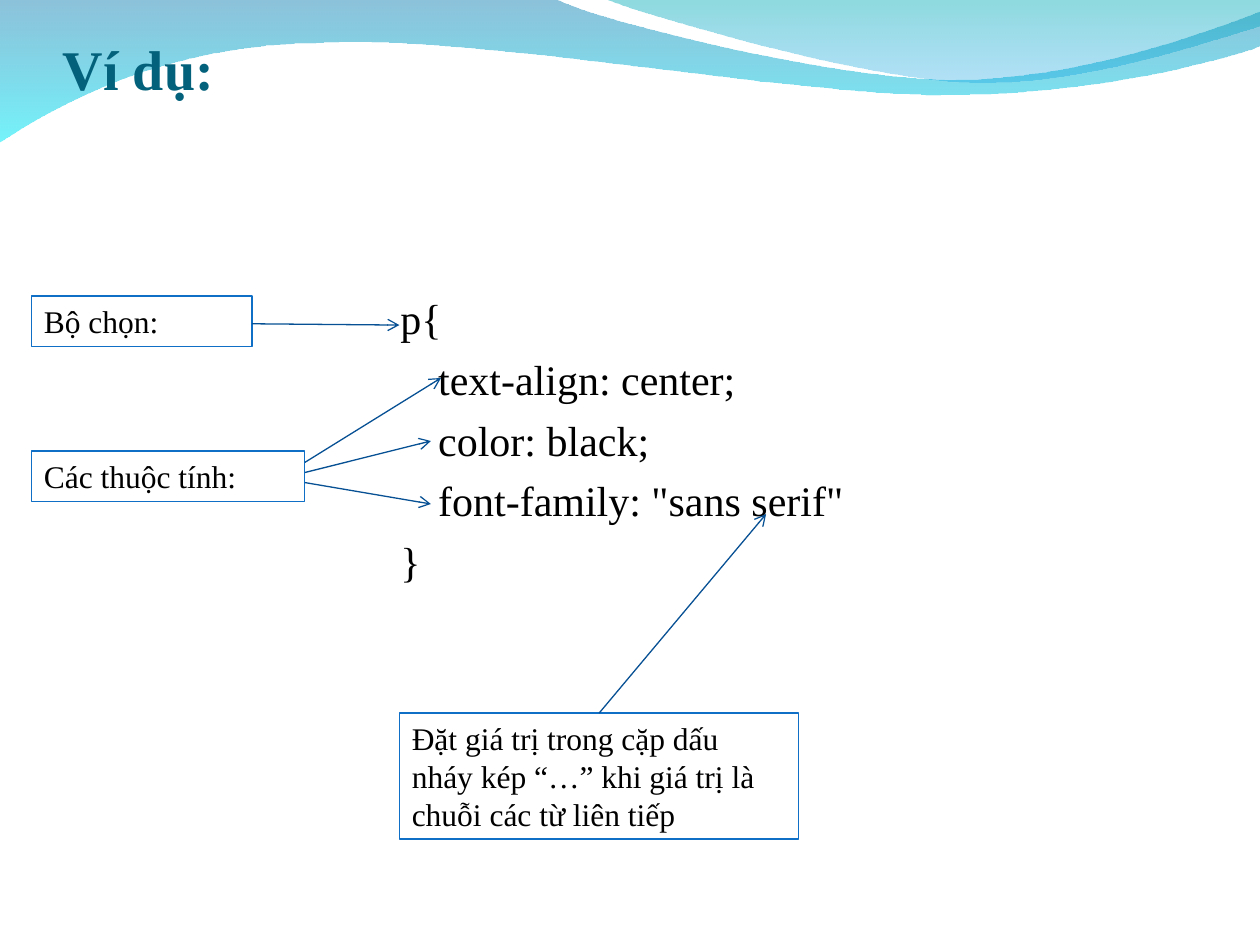
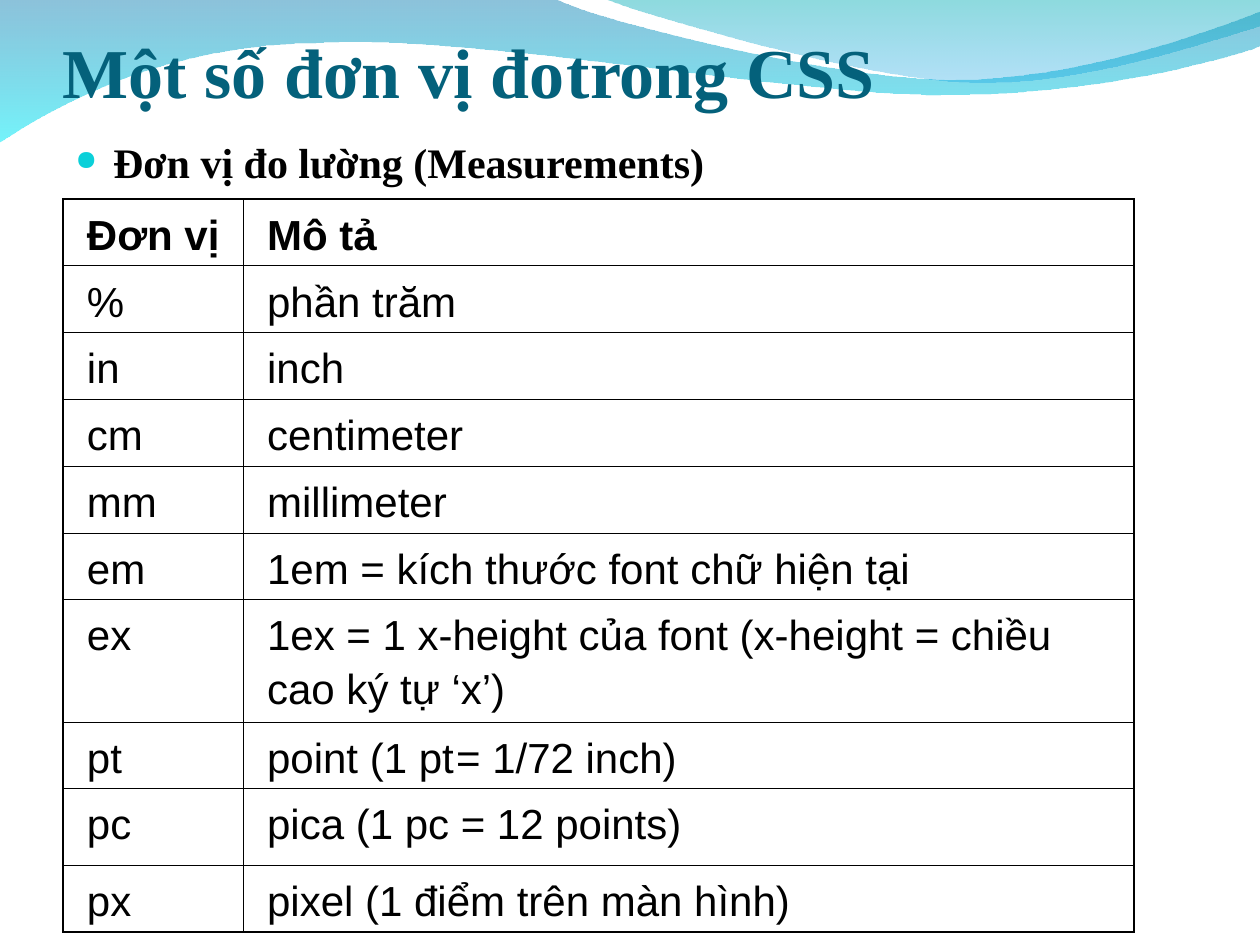
import pptx
import pptx.util
import pptx.dml.color
import pptx.enum.dml
import pptx.enum.shapes
import pptx.enum.text
import pptx.oxml
import pptx.oxml.ns
from lxml import etree

Inches = pptx.util.Inches
Pt = pptx.util.Pt
qn = pptx.oxml.ns.qn

COLORS = {
    "title": "04617B",
    "text": "000000",
    "bullet": "0BD0D9",
    "box_line": "0F6FC6",
    "arrow": "065093",
    "wave_blue": "0079AF",
    "wave_cyan": "00EBF8",
    "crest_teal": "00ADB6",
    "crest_blue": "009BE5",
}
SERIF, SANS = "Times New Roman", "Arial"
THICK, THIN = 1.08, 0.45

# Each outline: a start point, then lines (one point) and Bézier curves (three points).
WAVE = [[(0, -0.01)], [(4.4, -0.01)],
        [(4.76, 0.17), (6.64, 0.63), (7.58, 0.63)],
        [(8.53, 0.63), (9.58, 0.26), (10, 0.09)],
        [(10.01, 0.36)],
        [(9.83, 0.44), (8.7, 0.76), (7.46, 0.75)],
        [(6.22, 0.75), (3.82, 0.28), (2.57, 0.34)],
        [(1.29, 0.35), (0.46, 0.83), (-0.01, 1.13)]]
CREST = [[(4.79, -0.01)],
         [(5.09, 0.11), (6.82, 0.62), (7.69, 0.65)],
         [(8.56, 0.69), (9.61, 0.32), (10, 0.21)],
         [(10, 0)]]

UNITS = [
    ("Đơn vị", "Mô tả"),
    ("%", "phần trăm"),
    ("in", "inch"),
    ("cm", "centimeter"),
    ("mm", "millimeter"),
    ("em", "1em = kích thước font chữ hiện tại"),
    ("ex", "1ex = 1 x-height của font (x-height = chiều cao ký tự ‘x’)"),
    ("pt", "point (1 pt\t= 1/72 inch)"),
    ("pc", "pica (1 pc = 12 points)"),
    ("px", "pixel (1 điểm trên màn hình)"),
]
ROW_HEIGHT = 0.53
TALL_ROWS = {"ex": 0.95, "pc": 0.61}


def rgb(name):
    return pptx.dml.color.RGBColor.from_string(COLORS[name])


def add_xml(parent, tag, **attributes):
    return etree.SubElement(parent, qn(tag), attributes)


def format_runs(paragraph, size, font=SERIF, color="text", bold=False):
    for run in paragraph.runs:
        run.font.size = Pt(size)
        run.font.name = font
        run.font.bold = bold
        run.font.color.rgb = rgb(color)


def set_indent(paragraph, left, first=0):
    properties = paragraph._p.get_or_add_pPr()
    properties.set("marL", str(Inches(left)))
    properties.set("indent", str(Inches(first)))


def add_tab(paragraph, position):
    tabs = add_xml(paragraph._p.get_or_add_pPr(), "a:tabLst")
    add_xml(tabs, "a:tab", pos=str(Inches(position)), algn="l")


def add_bullet(paragraph):
    properties = paragraph._p.get_or_add_pPr()
    add_xml(add_xml(properties, "a:buClr"), "a:srgbClr", val=COLORS["bullet"])
    add_xml(properties, "a:buSzPct", val="66000")
    add_xml(properties, "a:buChar", char="●")


def add_text(slide, box, text):
    frame = slide.shapes.add_textbox(*map(Inches, box)).text_frame
    frame.word_wrap = True
    frame.text = text
    return frame


def curve_segments(shape, outline):
    """Turn the straight runs through control points into Bézier curves."""
    straight = iter(list(shape.element.spPr.iter(qn("a:lnTo"))))
    for segment in outline[1:]:
        lines = [next(straight) for _ in segment]
        if len(lines) == 3:
            curve = etree.Element(qn("a:cubicBezTo"))
            lines[0].addprevious(curve)
            for line in lines:
                curve.append(line[0])
                line.getparent().remove(line)


def add_wave(slide, outline, stops):
    """Draw an outline with a downward gradient of (colour, opacity %) stops."""
    start, *rest = [(Inches(x), Inches(y)) for segment in outline for x, y in segment]
    builder = slide.shapes.build_freeform(*start)
    # The first point is repeated only by the closing of the outline.
    builder.add_line_segments(rest, close=True)
    wave = builder.convert_to_shape()
    curve_segments(wave, outline)
    wave.shadow.inherit = False
    wave.line.fill.background()
    wave.fill.gradient()
    wave.fill.gradient_angle = 270
    for position, (stop, (color, _)) in enumerate(zip(wave.fill.gradient_stops, stops)):
        stop.position = position
        stop.color.rgb = rgb(color)
    for color_xml, (_, opacity) in zip(wave.element.spPr.iter(qn("a:srgbClr")), stops):
        add_xml(color_xml, "a:alpha", val=str(opacity * 1000))


def start_slide(deck, title, size, height, tab=None):
    """Add a slide with the shared waves and a title."""
    slide = deck.slides.add_slide(deck.slide_layouts[6])
    add_wave(slide, WAVE, [("wave_blue", 45), ("wave_cyan", 55)])
    add_wave(slide, CREST, [("crest_teal", 45), ("crest_blue", 30)])
    frame = add_text(slide, (0.5, 0.58, 9, height), title)
    frame.margin_left = frame.margin_right = frame.margin_bottom = 0
    frame.vertical_anchor = pptx.enum.text.MSO_ANCHOR.BOTTOM
    if tab:
        add_tab(frame.paragraphs[0], tab)
    format_runs(frame.paragraphs[0], size, color="title", bold=True)
    return slide


def add_code(slide, box, code):
    frame = add_text(slide, box, code)
    for index, paragraph in enumerate(frame.paragraphs):
        set_indent(paragraph, 0.3, -0.3)
        add_tab(paragraph, 0)
        if index:
            paragraph.space_before = Pt(6)
        format_runs(paragraph, 24)


def add_label(slide, box, text):
    label = slide.shapes.add_shape(pptx.enum.shapes.MSO_SHAPE.RECTANGLE, *map(Inches, box))
    label.shadow.inherit = False
    label.fill.background()
    label.line.color.rgb = rgb("box_line")
    label.line.width = Pt(0.75)
    frame = label.text_frame
    frame.word_wrap = True
    frame.auto_size = pptx.enum.text.MSO_AUTO_SIZE.SHAPE_TO_FIT_TEXT
    frame.vertical_anchor = pptx.enum.text.MSO_ANCHOR.TOP
    frame.text = text
    for paragraph in frame.paragraphs:
        paragraph.alignment = pptx.enum.text.PP_ALIGN.LEFT
        format_runs(paragraph, 18)
    return label


def add_arrow(slide, start, end):
    arrow = slide.shapes.add_connector(
        pptx.enum.shapes.MSO_CONNECTOR.STRAIGHT, *map(Inches, (*start, *end)))
    arrow.line.color.rgb = rgb("arrow")
    arrow.line.width = Pt(0.75)
    add_xml(arrow.line._get_or_add_ln(), "a:tailEnd", type="arrow")
    add_xml(arrow._element.spPr, "a:effectLst")
    return arrow


def build_example(deck):
    slide = start_slide(deck, "Ví dụ:", 32, 0.23)
    add_code(slide, (3.08, 2.27, 4.83, 2.47),
             'p{\n\ttext-align: center;\n\tcolor: black;\n\tfont-family: "sans serif"\n}')
    quotes = add_label(slide, (3.17, 5.66, 3.17, 1),
                       "Đặt giá trị trong cặp dấu\n"
                       "nháy kép “…” khi giá trị là chuỗi các từ liên tiếp")
    add_arrow(slide, (4.75, 5.66), (6.08, 4.08)).begin_connect(quotes, 0)
    add_label(slide, (0.25, 2.35, 1.75, 0.4), "Bộ chọn:")
    add_label(slide, (0.25, 3.58, 2.17, 0.4), "Các thuộc tính:")
    add_arrow(slide, (2, 2.57), (3.17, 2.58))
    for start_y, end in ((3.67, (3.5, 3)), (3.75, (3.42, 3.5)), (3.83, (3.42, 4))):
        add_arrow(slide, (2.42, start_y), end)


def set_borders(cell, **widths):
    properties = cell._tc.get_or_add_tcPr()
    for side in "LRTB":
        line = add_xml(properties, "a:ln" + side, w=str(Pt(widths[side])))
        add_xml(add_xml(line, "a:solidFill"), "a:srgbClr", val=COLORS["text"])


def add_units_table(slide, left, top, column_widths):
    heights = [TALL_ROWS.get(unit, ROW_HEIGHT) for unit, _ in UNITS]
    table = slide.shapes.add_table(
        len(UNITS), 2, Inches(left), Inches(top),
        Inches(sum(column_widths)), Inches(sum(heights))).table
    table.first_row = table.horz_banding = False
    for column, width in zip(table.columns, column_widths):
        column.width = Inches(width)
    last = len(UNITS) - 1
    for r, (row, height) in enumerate(zip(table.rows, heights)):
        row.height = Inches(height)
        for c, (cell, text) in enumerate(zip(row.cells, UNITS[r])):
            set_borders(cell, L=THIN if c else THICK, R=THICK if c else THIN,
                        T=THIN if r else THICK, B=THICK if r == last else THIN)
            cell.fill.background()
            cell.margin_bottom = 0
            cell.text_frame.text = text
            paragraph = cell.text_frame.paragraphs[0]
            set_indent(paragraph, 0.09)
            if "\t" in text:
                add_tab(paragraph, 1.72)
            paragraph.line_spacing = 1.15
            format_runs(paragraph, 24, SANS, bold=r == 0)


def build_units(deck):
    slide = start_slide(deck, "Một số đơn vị đo\ttrong CSS", 40, 0.31, tab=4)
    heading = add_text(slide, (0.5, 1.08, 9, 0.47), "Đơn vị đo lường (Measurements)").paragraphs[0]
    set_indent(heading, 0.3, -0.3)
    add_bullet(heading)
    heading.line_spacing = 0.9
    format_runs(heading, 24, bold=True)
    add_units_table(slide, 0.5, 1.58, (1.43, 7.07))


def main():
    deck = pptx.Presentation()
    deck.slide_width, deck.slide_height = Inches(10), Inches(7.5)
    build_example(deck)
    build_units(deck)
    deck.save("out.pptx")


if __name__ == "__main__":
    main()
